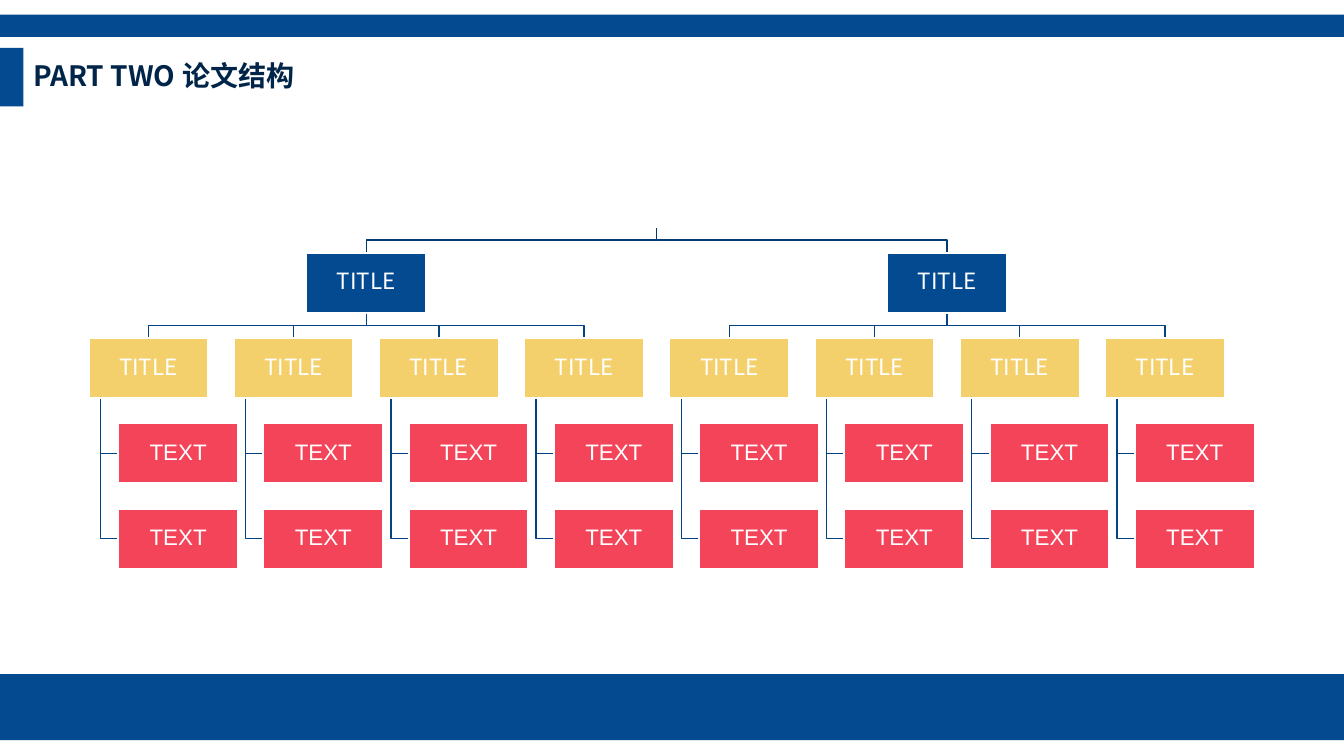
from lxml.etree import SubElement
from pptx import Presentation
from pptx.dml.color import RGBColor
from pptx.enum.shapes import MSO_SHAPE as Shape
from pptx.enum.text import MSO_ANCHOR as Anchor, PP_ALIGN as Align
from pptx.oxml.ns import qn
from pptx.util import Cm, Pt


def paint(color_format, hex_color):
    color_format.rgb = RGBColor.from_string(hex_color)


def write(shape, text, color, frame_format, paragraph_format, font_format):
    frame = shape.text_frame
    frame.text = text
    paragraph = frame.paragraphs[0]
    font = paragraph.runs[0].font
    for target, values in ((frame, frame_format), (paragraph, paragraph_format), (font, font_format)):
        for name, value in values.items():
            setattr(target, name, value)
    paint(font.color, color)
    east_asian = SubElement(paragraph.runs[0].font._element, qn("a:ea"))
    east_asian.set("typeface", font_format["name"])


BLUE, YELLOW, RED, WHITE = "034A90", "F3D06C", "F4445A", "FFFFFF"
SANS = "Noto Sans CJK SC"

presentation = Presentation()
presentation.slide_width = Cm(33.87)
presentation.slide_height = Cm(19.05)
slide = presentation.slides.add_slide(presentation.slide_layouts[6])
shapes = slide.shapes

for left, top, width, height in (
    (0, 16.99, 33.87, 1.66),
    (0, 0.37, 33.87, 0.56),
    (0, 1.21, 0.59, 1.47),
):
    band = shapes.add_shape(Shape.RECTANGLE, Cm(left), Cm(top), Cm(width), Cm(height))
    band.shadow.inherit = False
    band.fill.solid()
    paint(band.fill.fore_color, BLUE)
    band.line.fill.background()

heading = shapes.add_textbox(Cm(0.59), Cm(1.21), Cm(13.5), Cm(1.47))
write(
    heading, "PART TWO 论文结构", "012548",
    {"word_wrap": True, "vertical_anchor": Anchor.MIDDLE},
    {"line_spacing": 0.9, "space_before": Pt(10)},
    {"name": SANS, "size": Pt(20), "bold": True},
)

box_width, box_height = 3.02, 1.51
column_pitch, row_pitch = 3.66, 2.15
first_left = 2.23
row_tops = [4.22 + row_pitch * row for row in range(5)]
root_top, branch_top, title_top, *text_tops = row_tops
half_gap = (row_pitch - box_height) / 2
text_indent, stem_indent = 0.75, 0.3

title_lefts = [first_left + column_pitch * column for column in range(8)]
branches = [title_lefts[:4], title_lefts[4:]]
branch_lefts = [sum(lefts) / len(lefts) for lefts in branches]
root_left = sum(branch_lefts) / len(branch_lefts)

forks = [(root_left, root_top, left, "023B73") for left in branch_lefts]
for branch_left, lefts in zip(branch_lefts, branches):
    forks += [(branch_left, branch_top, left, "034383") for left in lefts]

links = []
for parent_left, parent_top, child_left, color in forks:
    start, end = parent_left + box_width / 2, child_left + box_width / 2
    bottom = parent_top + box_height
    bus = bottom + half_gap
    links.append((color, [(start, bottom), (start, bus), (end, bus), (end, bus + half_gap)]))
for left in title_lefts:
    stem = left + stem_indent
    for top in text_tops:
        middle = top + box_height / 2
        links.append(("034383", [(stem, title_top + box_height), (stem, middle), (left + text_indent, middle)]))

for color, points in links:
    start, *corners = [(Cm(x), Cm(y)) for x, y in points]
    builder = shapes.build_freeform(*start)
    builder.add_line_segments(corners, close=False)
    link = builder.convert_to_shape()
    link.shadow.inherit = False
    link.fill.background()
    link.line.width = Pt(1)
    paint(link.line.color, color)

boxes = [(root_left, root_top, WHITE, "", SANS)]
boxes += [(left, branch_top, BLUE, "TITLE", SANS) for left in branch_lefts]
for left in title_lefts:
    boxes.append((left, title_top, YELLOW, "TITLE", SANS))
    boxes += [(left + text_indent, top, RED, "TEXT", "Arial") for top in text_tops]

inset = Cm(0.03)
box_frame = {
    "word_wrap": True, "vertical_anchor": Anchor.MIDDLE,
    "margin_left": inset, "margin_right": inset, "margin_top": inset, "margin_bottom": inset,
}
for left, top, fill, text, font_name in boxes:
    box = shapes.add_shape(Shape.RECTANGLE, Cm(left), Cm(top), Cm(box_width), Cm(box_height))
    box.shadow.inherit = False
    box.fill.solid()
    paint(box.fill.fore_color, fill)
    box.line.width = Pt(1.5)
    paint(box.line.color, WHITE)
    if text:
        write(
            box, text, WHITE, box_frame,
            {"alignment": Align.CENTER, "line_spacing": 0.9},
            {"name": font_name, "size": Pt(16)},
        )

presentation.save("out.pptx")
